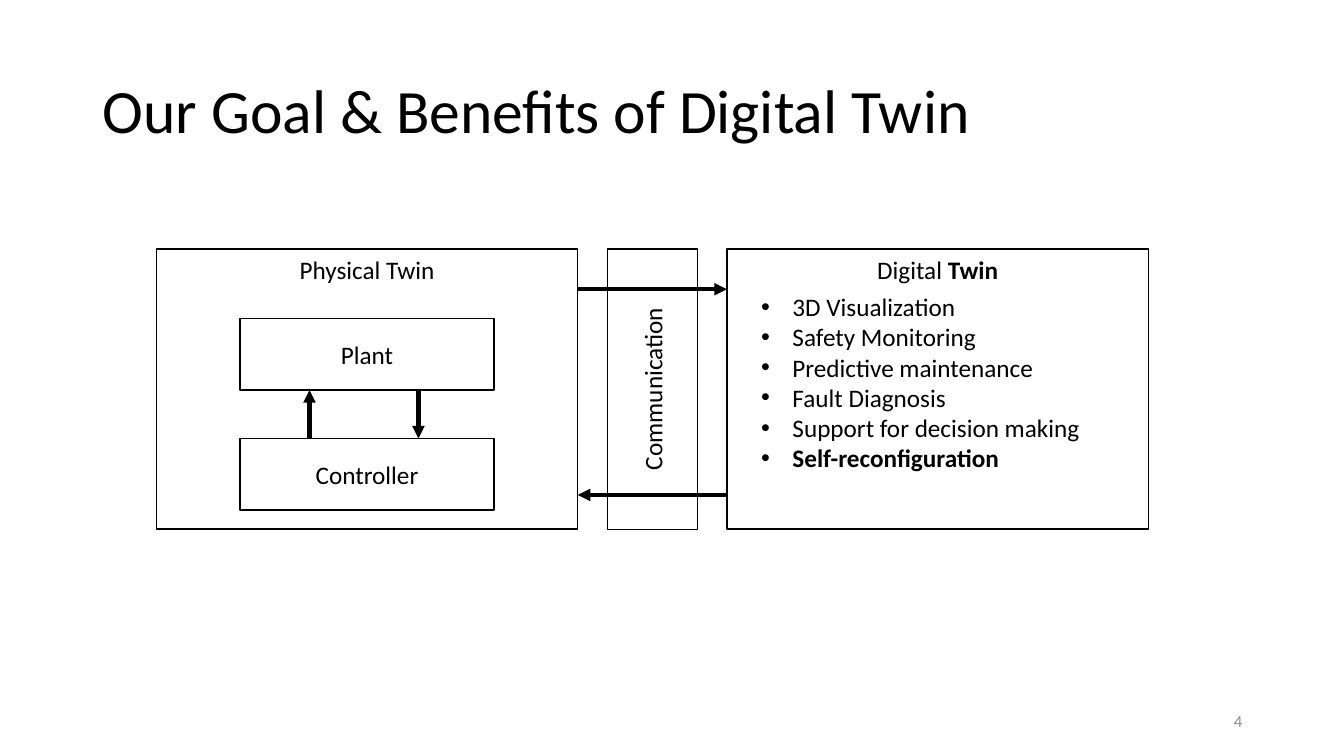
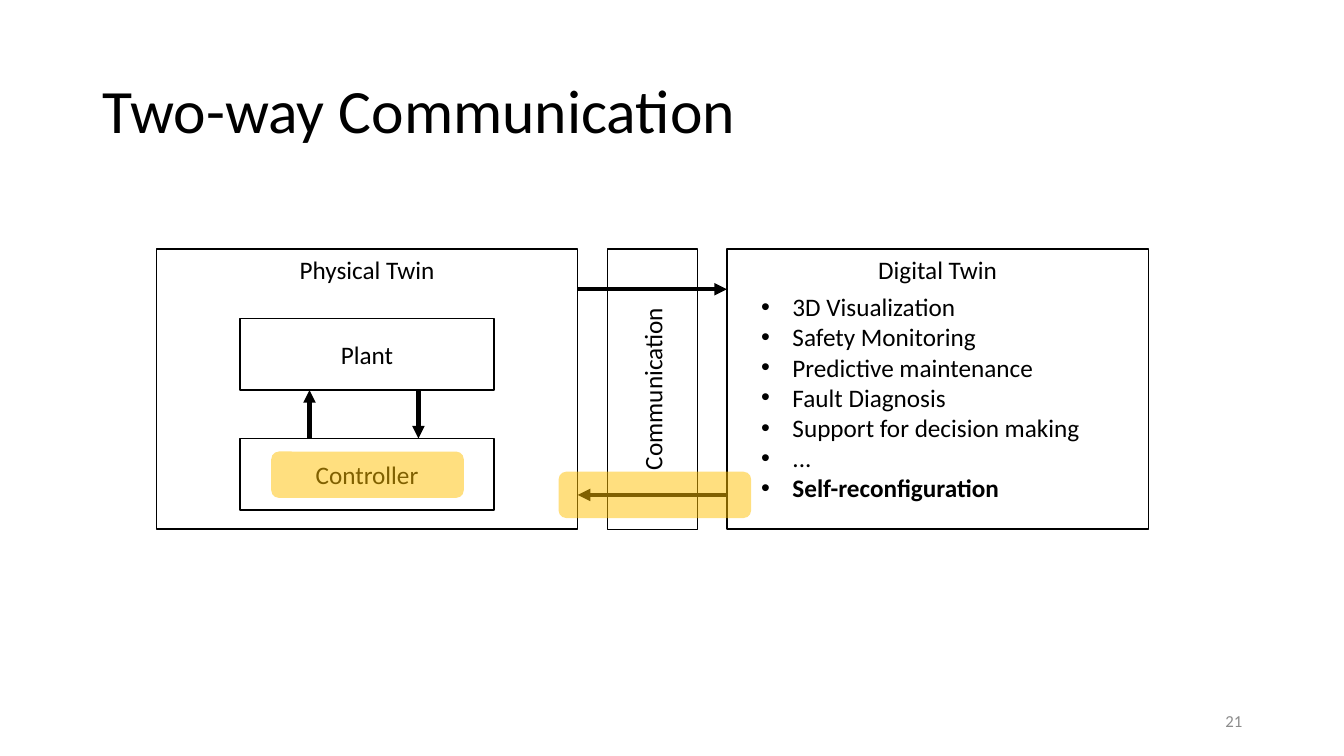
import pptx
import pptx.dml.color
import pptx.enum.shapes
import pptx.enum.text
import pptx.oxml
import pptx.oxml.ns
import pptx.util

Inches = pptx.util.Inches
Pt = pptx.util.Pt
ALIGN = pptx.enum.text.PP_ALIGN
ANCHOR = pptx.enum.text.MSO_ANCHOR
SHAPE = pptx.enum.shapes.MSO_SHAPE

BLACK = pptx.dml.color.RGBColor(0x00, 0x00, 0x00)
WHITE = pptx.dml.color.RGBColor(0xFF, 0xFF, 0xFF)
GREY = pptx.dml.color.RGBColor(0x8C, 0x8C, 0x8C)
AMBER = pptx.dml.color.RGBColor(0xFF, 0xC0, 0x00)

FONT = "Calibri"
PANEL_TOP, PANEL_WIDTH, PANEL_HEIGHT = 2.47, 4.18, 2.78
PHYSICAL_LEFT, DIGITAL_LEFT = 1.55, 7.21
PHYSICAL_RIGHT = PHYSICAL_LEFT + PANEL_WIDTH
BLOCK_WIDTH, BLOCK_HEIGHT = 2.52, 0.71
BLOCK_LEFT = PHYSICAL_LEFT + (PANEL_WIDTH - BLOCK_WIDTH) / 2
PLANT_TOP, CONTROLLER_TOP = 3.16, 4.35
PLANT_BOTTOM = PLANT_TOP + BLOCK_HEIGHT
CHANNEL_WIDTH = 0.89
UPLINK_Y, DOWNLINK_Y = 2.87, 4.91
BENEFITS = ["3D Visualization", "Safety Monitoring", "Predictive maintenance",
            "Fault Diagnosis", "Support for decision making"]
GOAL = "Self-reconfiguration"


def add_xml(parent, tag, **attributes):
    """Append a DrawingML child element and return it."""
    child = pptx.oxml.parse_xml(f"<a:{tag} {pptx.oxml.ns.nsdecls('a')}/>")
    for key, value in attributes.items():
        child.set(key, value)
    parent.append(child)
    return child


def place(shape, left, top, width, height):
    """Set the position and size of a shape in inches."""
    shape.left, shape.top = Inches(left), Inches(top)
    shape.width, shape.height = Inches(width), Inches(height)


def add_run(paragraph, text, size=18, color=BLACK, bold=False):
    """Add one formatted run to a paragraph."""
    run = paragraph.add_run()
    run.text = text
    run.font.name = FONT
    run.font.size = Pt(size)
    run.font.bold = bold
    run.font.color.rgb = color


def set_title(slide, text):
    """Fill and format the title placeholder."""
    title = slide.shapes.title
    place(title, 0.92, 0.4, 11.5, 1.45)
    frame = title.text_frame
    frame.auto_size = pptx.enum.text.MSO_AUTO_SIZE.NONE
    frame.vertical_anchor = ANCHOR.MIDDLE
    heading = frame.paragraphs[0]
    heading.alignment = ALIGN.LEFT
    heading.line_spacing = 0.9
    add_run(heading, text, 44)


def add_box(slide, left, top, width, height, label, anchor=ANCHOR.MIDDLE):
    """Draw an outlined box whose label is a list of (text, bold) runs."""
    box = slide.shapes.add_shape(SHAPE.RECTANGLE, Inches(left), Inches(top),
                                 Inches(width), Inches(height))
    box.shadow.inherit = False
    box.fill.solid()
    box.fill.fore_color.rgb = WHITE
    box.line.color.rgb = BLACK
    box.line.width = Pt(1)
    box.text_frame.vertical_anchor = anchor
    caption = box.text_frame.paragraphs[0]
    caption.alignment = ALIGN.CENTER
    for text, bold in label:
        add_run(caption, text, bold=bold)
    return box


def add_arrow(slide, start_x, start_y, end_x, end_y):
    """Draw a thick straight arrow."""
    arrow = slide.shapes.add_connector(
        pptx.enum.shapes.MSO_CONNECTOR.STRAIGHT,
        Inches(start_x), Inches(start_y), Inches(end_x), Inches(end_y))
    arrow.line.color.rgb = BLACK
    arrow.line.width = Pt(3)
    add_xml(arrow.line._get_or_add_ln(), "tailEnd", type="triangle")
    add_xml(arrow.element.spPr, "effectLst")


def add_highlight(slide, left, top):
    """Draw a half-transparent rounded marker."""
    marker = slide.shapes.add_shape(SHAPE.ROUNDED_RECTANGLE, Inches(left), Inches(top),
                                    Inches(1.91), Inches(0.46))
    marker.shadow.inherit = False
    marker.fill.solid()
    marker.fill.fore_color.rgb = AMBER
    marker.line.fill.background()
    color = marker.element.spPr.find(".//" + pptx.oxml.ns.qn("a:srgbClr"))
    add_xml(color, "alpha", val="50000")


def set_benefits(slide, benefits):
    """Fill the body placeholder with bullets and bring it to the front."""
    body = slide.placeholders[1]
    place(body, 7.45, 2.84, 3.81, 0.12 + 0.3 * len(benefits))
    frame = body.text_frame
    frame.auto_size = pptx.enum.text.MSO_AUTO_SIZE.NONE
    for index, benefit in enumerate(benefits):
        item = frame.paragraphs[0] if index == 0 else frame.add_paragraph()
        item.space_before = Pt(0)
        properties = item._p.get_or_add_pPr()
        properties.set("marL", str(Inches(0.31)))
        properties.set("indent", str(-Inches(0.31)))
        add_xml(properties, "buFont", typeface="Arial")
        add_xml(properties, "buChar", char="•")
        add_run(item, benefit, bold=benefit == GOAL)
    body.element.getparent().append(body.element)


def add_page_number(slide, number):
    """Write the page number at the lower right."""
    footer = slide.shapes.add_textbox(Inches(9.42), Inches(6.95), Inches(3), Inches(0.4))
    footer.text_frame.word_wrap = True
    footer.text_frame.vertical_anchor = ANCHOR.MIDDLE
    page = footer.text_frame.paragraphs[0]
    page.alignment = ALIGN.RIGHT
    add_run(page, str(number), 12, GREY)


def add_physical_twin(slide):
    """Draw the physical twin with its plant and controller loop."""
    add_box(slide, PHYSICAL_LEFT, PANEL_TOP, PANEL_WIDTH, PANEL_HEIGHT,
            [("Physical Twin", False)], ANCHOR.TOP)
    for name, top in (("Plant", PLANT_TOP), ("Controller", CONTROLLER_TOP)):
        add_box(slide, BLOCK_LEFT, top, BLOCK_WIDTH, BLOCK_HEIGHT, [(name, False)])
    add_arrow(slide, 3.07, CONTROLLER_TOP, 3.07, PLANT_BOTTOM)
    add_arrow(slide, 4.15, PLANT_BOTTOM, 4.15, CONTROLLER_TOP)


def add_communication(slide):
    """Draw the upright channel and the two arrows across it."""
    center_x = (PHYSICAL_RIGHT + DIGITAL_LEFT) / 2
    center_y = PANEL_TOP + PANEL_HEIGHT / 2
    channel = add_box(slide, center_x - PANEL_HEIGHT / 2, center_y - CHANNEL_WIDTH / 2,
                      PANEL_HEIGHT, CHANNEL_WIDTH, [("Communication", False)])
    channel.rotation = 270
    add_arrow(slide, PHYSICAL_RIGHT, UPLINK_Y, DIGITAL_LEFT, UPLINK_Y)
    add_arrow(slide, DIGITAL_LEFT, DOWNLINK_Y, PHYSICAL_RIGHT, DOWNLINK_Y)


def add_twin_slide(deck, title, digital_label, benefits, number, highlights=()):
    """Build one slide with the twin diagram."""
    slide = deck.slides.add_slide(deck.slide_layouts[1])
    set_title(slide, title)
    add_physical_twin(slide)
    add_box(slide, DIGITAL_LEFT, PANEL_TOP, PANEL_WIDTH, PANEL_HEIGHT,
            digital_label, ANCHOR.TOP)
    add_communication(slide)
    set_benefits(slide, benefits)
    for left, top in highlights:
        add_highlight(slide, left, top)
    add_page_number(slide, number)


def main():
    """Build and save the presentation."""
    deck = pptx.Presentation()
    deck.slide_width, deck.slide_height = Inches(13.33), Inches(7.5)
    add_twin_slide(deck, "Our Goal & Benefits of Digital Twin",
                   [("Digital ", False), ("Twin", True)], BENEFITS + [GOAL], 4)
    add_twin_slide(deck, "Two-way Communication", [("Digital Twin", False)],
                   BENEFITS + ["...", GOAL], 21, [(5.54, 4.68), (2.69, 4.48)])
    deck.save("out.pptx")


if __name__ == "__main__":
    main()
